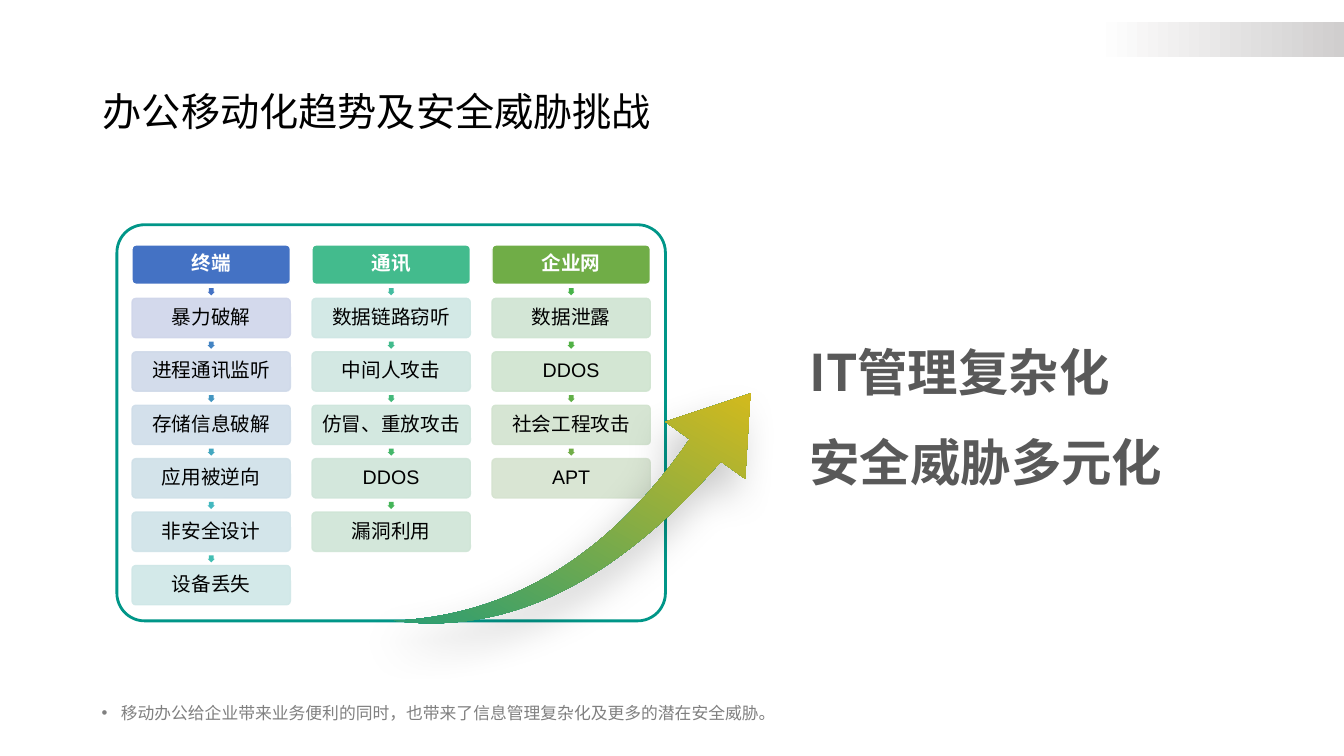
"""Build the slide on mobile office trends and security threats."""
from dataclasses import dataclass

import pptx
import pptx.dml.color
import pptx.enum.shapes
import pptx.enum.text
import pptx.oxml
import pptx.oxml.ns
import pptx.util

Inches = pptx.util.Inches
Pt = pptx.util.Pt
Shape = pptx.enum.shapes.MSO_SHAPE
Align = pptx.enum.text.PP_ALIGN
Anchor = pptx.enum.text.MSO_ANCHOR
CJK = "Noto Sans CJK SC"
DRAWING = pptx.oxml.ns.nsdecls("a")
COLUMN_LEFT, COLUMN_STEP = 1.31, (4.88 - 1.31) / 2
ROW_TOP, ROW_STEP = 2.43, 0.53
CELL_WIDTH, CELL_HEIGHT = 1.57, 0.39
ARROW_SIZE, ARROW_DROP = 0.07, 0.43


@dataclass
class Threat:
    name: str
    fill: str
    arrow: str


@dataclass
class Domain:
    name: str
    fill: str
    threats: list[Threat]


DOMAINS = [
    Domain("终端", "4472C4", [
        Threat("暴力破解", "CFD5EA", "4472C4"),
        Threat("进程通讯监听", "CFD9E9", "4484C3"),
        Threat("存储信息破解", "CFDDE9", "4496C1"),
        Threat("应用被逆向", "CFE0E8", "43A7C0"),
        Threat("非安全设计", "CFE3E8", "43B8BF"),
        Threat("设备丢失", "CFE7E7", "43BEB3"),
    ]),
    Domain("通讯", "43BB8D", [
        Threat("数据链路窃听", "CFE7E4", "43BCA0"),
        Threat("中间人攻击", "CFE6E0", "43BB8D"),
        Threat("仿冒、重放攻击", "CFE6DD", "44B97B"),
        Threat("DDOS", "CFE5D9", "44B76A"),
        Threat("漏洞利用", "CFE5D6", "45B559"),
    ]),
    Domain("企业网", "70AD47", [
        Threat("数据泄露", "CFE4D2", "46B349"),
        Threat("DDOS", "CFE4CF", "52B146"),
        Threat("社会工程攻击", "D2E3CF", "61AF47"),
        Threat("APT", "D5E3CF", "70AD47"),
    ]),
]


def color(value: str) -> pptx.dml.color.RGBColor:
    """Turn a hex string into a colour."""
    return pptx.dml.color.RGBColor.from_string(value)


def write(frame, text: str, *, size: float, ink: str, font: str = "Arial", bold: bool = False,
          align=Align.LEFT, anchor=Anchor.TOP, spacing: float = 1.0, inset: float | None = None) -> None:
    """Fill a text frame, one paragraph for each line of text."""
    frame.word_wrap = True
    frame.vertical_anchor = anchor
    if inset is not None:
        frame.margin_left = frame.margin_right = Inches(inset)
        frame.margin_top = frame.margin_bottom = Inches(inset)
    for index, line in enumerate(text.split("\n")):
        para = frame.paragraphs[0] if index == 0 else frame.add_paragraph()
        para.alignment = align
        para.line_spacing = spacing
        para.space_before = Pt(0)
        span = para.add_run()
        span.text = line
        span.font.size = Pt(size)
        span.font.bold = bold
        span.font.name = font
        span.font.color.rgb = color(ink)
        span.font._element.append(pptx.oxml.parse_xml(f'<a:ea {DRAWING} typeface="{CJK}"/>'))


def add_shape(page, kind, left: float, top: float, width: float, height: float, *,
              fill: str | None = None, line: str | None = None, weight: float = 1,
              adjust: tuple = (), alpha: int = 100):
    """Draw a preset shape without a shadow."""
    shape = page.shapes.add_shape(kind, Inches(left), Inches(top), Inches(width), Inches(height))
    shape.shadow.inherit = False
    for index, value in enumerate(adjust):
        shape.adjustments[index] = value
    if fill:
        shape.fill.solid()
        shape.fill.fore_color.rgb = color(fill)
    else:
        shape.fill.background()
    if line:
        shape.line.color.rgb = color(line)
        shape.line.width = Pt(weight)
    else:
        shape.line.fill.background()
    if alpha < 100:
        for tint in shape._element.spPr.iter(pptx.oxml.ns.qn("a:srgbClr")):
            tint.append(pptx.oxml.parse_xml(f'<a:alpha {DRAWING} val="{alpha * 1000}"/>'))
    return shape


def add_gradient(shape, start: str, end: str, angle: float) -> None:
    """Give a shape a two-colour linear gradient."""
    shape.fill.gradient()
    shape.fill.gradient_angle = angle
    for stop, value in zip(shape.fill.gradient_stops, (start, end)):
        stop.color.rgb = color(value)


def add_text(page, left: float, top: float, width: float, height: float, text: str, **style):
    """Place a text box and return its frame."""
    box = page.shapes.add_textbox(Inches(left), Inches(top), Inches(width), Inches(height))
    write(box.text_frame, text, **style)
    return box.text_frame


def add_cell(page, column: int, row: int, text: str, fill: str, *, line: str,
             ink: str = "000000", bold: bool = False, alpha: int = 100) -> None:
    """Draw one labelled cell of the threat grid."""
    cell = add_shape(page, Shape.ROUNDED_RECTANGLE, COLUMN_LEFT + column * COLUMN_STEP,
                     ROW_TOP + row * ROW_STEP, CELL_WIDTH, CELL_HEIGHT,
                     fill=fill, line=line, adjust=(0.1,), alpha=alpha)
    write(cell.text_frame, text, size=14, ink=ink, bold=bold, align=Align.CENTER,
          anchor=Anchor.MIDDLE, spacing=0.9, inset=0.02)


def add_domain(page, column: int, domain: Domain) -> None:
    """Draw a column: its heading, then each threat below an arrow."""
    add_cell(page, column, 0, domain.name, domain.fill, line="FFFFFF", ink="FFFFFF", bold=True)
    arrow_left = COLUMN_LEFT + column * COLUMN_STEP + (CELL_WIDTH - ARROW_SIZE) / 2
    for row, threat in enumerate(domain.threats):
        arrow = add_shape(page, Shape.RIGHT_ARROW, arrow_left, ROW_TOP + ARROW_DROP + row * ROW_STEP,
                          ARROW_SIZE, ARROW_SIZE, fill=threat.arrow, adjust=(0.67, 0.5))
        arrow.rotation = 90
        add_cell(page, column, row + 1, threat.name, threat.fill, line=threat.fill, alpha=90)


def add_swoosh(page) -> None:
    """Draw the rising arrow with its gradient and soft shadow."""
    swoosh = add_shape(page, Shape.SWOOSH_ARROW, 3.99, 3.94, 3.69, 2.36, adjust=(0.16, 0.31))
    add_gradient(swoosh, "009688", "FFC107", 0)
    swoosh.rotation = 119.1
    properties = swoosh._element.spPr
    properties.find(pptx.oxml.ns.qn("a:xfrm")).set("flipH", "1")
    properties.find(pptx.oxml.ns.qn("a:effectLst")).append(pptx.oxml.parse_xml(
        f'<a:outerShdw {DRAWING} blurRad="{Pt(29)}" dist="{Pt(17)}" dir="{119 * 60000}" '
        'algn="ctr" rotWithShape="0"><a:srgbClr val="000000"><a:alpha val="21000"/>'
        '</a:srgbClr></a:outerShdw>'))


def main() -> None:
    """Build and save the slide."""
    deck = pptx.Presentation()
    deck.slide_width, deck.slide_height = Inches(13.33), Inches(7.5)
    page = deck.slides.add_slide(deck.slide_layouts.get_by_name("Title Only"))

    title = page.shapes.title
    title.left, title.top, title.width, title.height = map(Inches, (0.92, 0.4, 11.5, 1.45))
    write(title.text_frame, "办公移动化趋势及安全威胁挑战", size=28, ink="000000",
          anchor=Anchor.MIDDLE, spacing=0.9)

    corner_band = add_shape(page, Shape.RECTANGLE, 10.87, 0.22, 2.46, 0.35)
    add_gradient(corner_band, "D0CECE", "FFFFFF", 180)
    add_shape(page, Shape.ROUNDED_RECTANGLE, 1.16, 2.23, 5.44, 3.93,
              line="009688", weight=2, adjust=(0.07,))

    note = add_text(page, 0.91, 6.92, 8.03, 0.3,
                    "移动办公给企业带来业务便利的同时，也带来了信息管理复杂化及更多的潜在安全威胁。",
                    size=12, ink="808080", font=CJK)
    bullet = note.paragraphs[0]._p.get_or_add_pPr()
    bullet.set("marL", str(Inches(0.19)))
    bullet.set("indent", str(-Inches(0.19)))
    bullet.append(pptx.oxml.parse_xml(f'<a:buFont {DRAWING} typeface="Arial"/>'))
    bullet.append(pptx.oxml.parse_xml(f'<a:buChar {DRAWING} char="•"/>'))

    for column, domain in enumerate(DOMAINS):
        add_domain(page, column, domain)
    add_swoosh(page)
    add_text(page, 7.93, 3.03, 4.47, 1.81, "IT管理复杂化\n安全威胁多元化",
             size=36, ink="595959", font=CJK, bold=True, spacing=1.5)
    deck.save("out.pptx")


if __name__ == "__main__":
    main()
